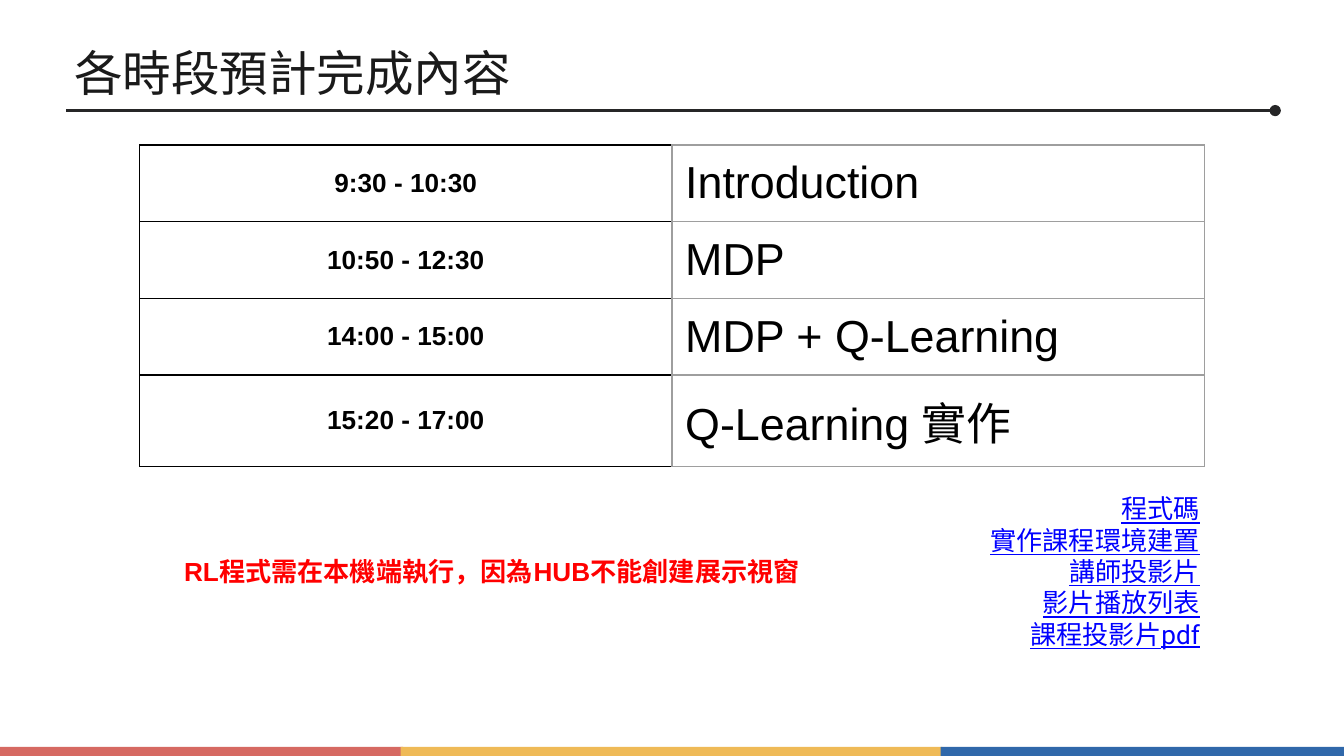
from lxml.etree import SubElement
from pptx import Presentation
from pptx.dml.color import RGBColor
from pptx.enum.shapes import MSO_CONNECTOR, MSO_SHAPE
from pptx.enum.text import MSO_ANCHOR, MSO_AUTO_SIZE, PP_ALIGN
from pptx.oxml.ns import qn
from pptx.util import Cm, Pt

# Content
TITLE = "各時段預計完成內容"
PLAN = [
    ("9:30 - 10:30", "Introduction"),
    ("10:50 - 12:30", "MDP"),
    ("14:00 - 15:00", "MDP + Q-Learning"),
    ("15:20 - 17:00", "Q-Learning 實作"),
]
LINKS = ["程式碼", "實作課程環境建置", "講師投影片", "影片播放列表", "課程投影片pdf"]
NOTE = "RL程式需在本機端執行，因為HUB不能創建展示視窗"
BARS = [(-0.05, 7.67, "D66962"), (7.57, 10.24, "EFBA57"), (17.78, 7.67, "3068AA")]
ROWS = [1.45, 1.45, 1.45, 1.73]
BLACK, GREY = "000000", "9E9E9E"


def tint(code):
    return RGBColor.from_string(code)


def style(para, size, color, face="Arial", bold=False, line=False):
    for run in para.runs:
        font = run.font
        font.name, font.size = face, Pt(size)
        font.bold, font.underline = bold, line
        font.color.rgb = tint(color)


def place(shape, *box):
    shape.left, shape.top, shape.width, shape.height = map(Cm, box)


def inset(frame, gap):
    frame.word_wrap = True
    frame.auto_size = MSO_AUTO_SIZE.NONE
    frame.margin_left = frame.margin_right = Cm(gap)
    frame.margin_top = frame.margin_bottom = Cm(gap)


def border(cell, **sides):
    props = cell._tc.get_or_add_tcPr()
    for side in "LRTB":
        edge = SubElement(props, qn("a:ln" + side), w=str(Pt(0.75)))
        fill = SubElement(edge, qn("a:solidFill"))
        SubElement(fill, qn("a:srgbClr"), val=sides[side])


deck = Presentation()
deck.slide_width, deck.slide_height = Cm(25.4), Cm(14.29)
slide = deck.slides.add_slide(deck.slide_layouts[1])
shapes = slide.shapes

# Bottom colour bars
for left, width, color in BARS:
    bar = shapes.add_shape(MSO_SHAPE.RECTANGLE, Cm(left), Cm(14.12), Cm(width), Cm(0.17))
    bar.shadow.inherit = False
    bar.fill.solid()
    bar.fill.fore_color.rgb = tint(color)
    bar.line.fill.background()

# Title and its rule
title = shapes.title
place(title, 1.32, 0.58, 16.26, 1.57)
inset(title.text_frame, 0.08)
title.text_frame.vertical_anchor = MSO_ANCHOR.MIDDLE
title.text_frame.text = TITLE
head = title.text_frame.paragraphs[0]
head.alignment = PP_ALIGN.LEFT
style(head, 26, "1A1A1A")

rule = shapes.add_connector(MSO_CONNECTOR.STRAIGHT, Cm(1.25), Cm(2.09), Cm(24.1), Cm(2.09))
rule.line.color.rgb = tint("262627")
rule.line.width = Pt(2)
SubElement(rule.line._get_or_add_ln(), qn("a:tailEnd"), type="oval")
SubElement(rule._element.spPr, qn("a:effectLst"))

# Timetable
frame = shapes.add_table(len(PLAN), 2, Cm(2.64), Cm(2.74), Cm(20.12), Cm(sum(ROWS)))
table = frame.table
table.first_row = table.horz_banding = False
for col in table.columns:
    col.width = Cm(10.06)
for r, pair in enumerate(PLAN):
    table.rows[r].height = Cm(ROWS[r])
    for c, text in enumerate(pair):
        cell = table.cell(r, c)
        cell.text = text
        cell.vertical_anchor = MSO_ANCHOR.MIDDLE
        cell.margin_left = cell.margin_right = Cm(0.25)
        cell.margin_top = cell.margin_bottom = Cm(0.25)
        edge = GREY if c else BLACK
        border(cell, L=edge, R=GREY, T=edge, B=edge)
        cell.fill.background()
        para = cell.text_frame.paragraphs[0]
        para.alignment = PP_ALIGN.LEFT if c else PP_ALIGN.CENTER
        style(para, 24 if c else 14, BLACK, bold=not c)

# Link list
body = slide.placeholders[1]
place(body, 17.81, 8.79, 4.95, 4.01)
inset(body.text_frame, 0.08)
body.text_frame.vertical_anchor = MSO_ANCHOR.MIDDLE
body.text_frame.text = "\n".join(LINKS)
for para in body.text_frame.paragraphs:
    props = para._p.get_or_add_pPr()
    props.set("marL", "0")
    props.set("indent", "0")
    SubElement(props, qn("a:buNone"))
    para.alignment = PP_ALIGN.RIGHT
    para.space_before = Pt(0)
    para.line_spacing = Pt(16.8)
    style(para, 14, "0000FF", "Roboto", line=True)

# Red note
note = shapes.add_textbox(Cm(3.23), Cm(10.24), Cm(13.69), Cm(3.35))
inset(note.text_frame, 0.25)
note.text_frame.text = NOTE
style(note.text_frame.paragraphs[0], 14, "FF0000", bold=True)

deck.save("out.pptx")
